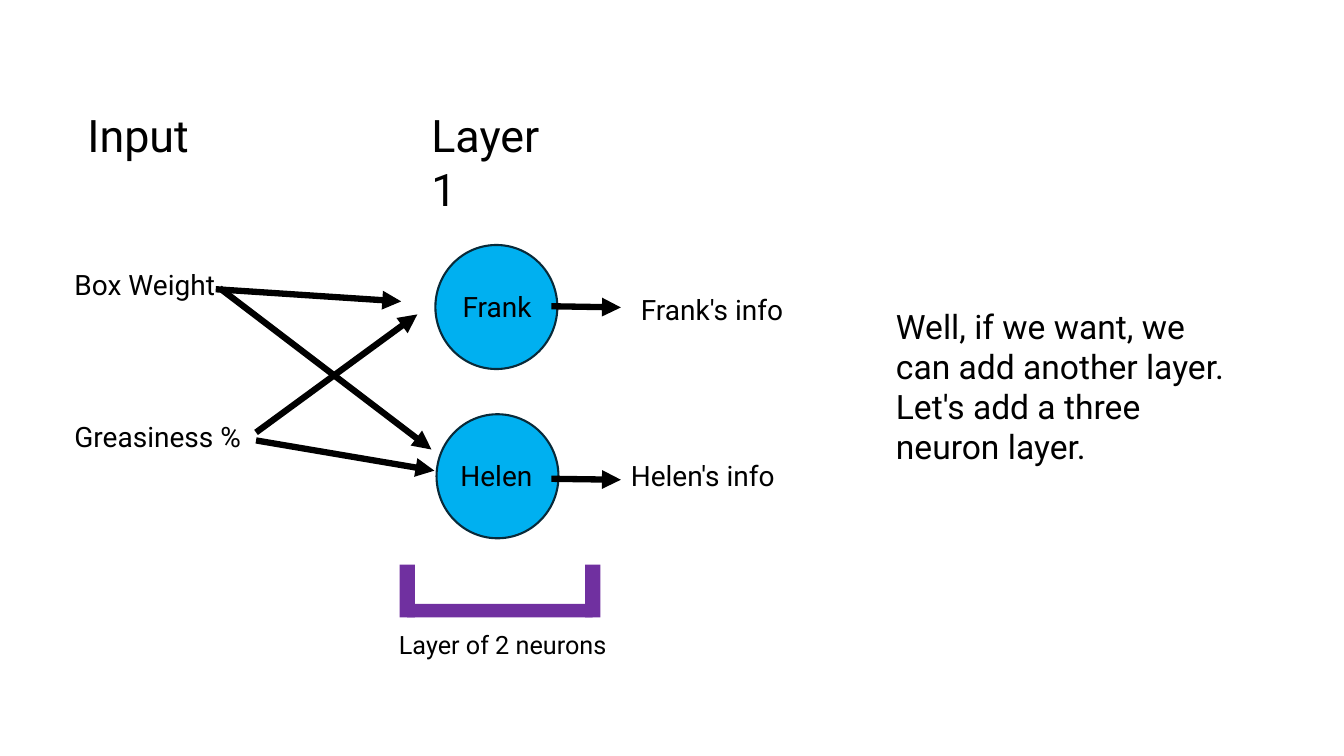
from lxml.etree import SubElement
from pptx import Presentation
from pptx.dml.color import RGBColor as RGB
from pptx.enum.shapes import MSO_CONNECTOR as LINK, MSO_SHAPE as KIND
from pptx.enum.text import MSO_AUTO_SIZE as FIT
from pptx.oxml.ns import qn
from pptx.util import Pt

HUES = {"ink": "000000", "node": "00B0F0", "rim": "092A39", "brace": "7030A0"}


def hue(name):
    return RGB.from_string(HUES[name])


def write(frame, text, size=20, color="ink", face="Roboto"):
    frame.word_wrap = True
    frame.auto_size = FIT.SHAPE_TO_FIT_TEXT
    run = frame.paragraphs[0].add_run()
    run.text = text
    run.font.size = Pt(size)
    run.font.name = face
    run.font.color.rgb = hue(color)


class Board:
    def __init__(self, slide):
        self.slide = slide
        self.stroke = 4.5

    def label(self, text, x, y, w, h=31.5, size=20):
        box = self.slide.shapes.add_textbox(Pt(x), Pt(y), Pt(w), Pt(h))
        write(box.text_frame, text, size=size)
        return box

    def shape(self, home, kind, x, y, w, h, fill, rim=None):
        item = home.shapes.add_shape(kind, Pt(x), Pt(y), Pt(w), Pt(h))
        item.shadow.inherit = False
        item.fill.solid()
        item.fill.fore_color.rgb = hue(fill)
        if rim:
            item.line.color.rgb = hue(rim)
            item.line.width = Pt(1.5)
        else:
            item.line.fill.background()
        return item

    def node(self, x, y):
        return self.shape(self.slide, KIND.OVAL, x, y, 87.1, 88.6, "node", "rim")

    def brace(self, x, y, w, h, thick):
        group = self.slide.shapes.add_group_shape()
        base = (x + thick / 2, y + h - 9.7, w - thick, 9.7)
        posts = [(left, y, thick, h) for left in (x, x + w - thick)]
        for part in (base, *posts):
            self.shape(group, KIND.RECTANGLE, *part, "brace")

    def arrow(self, x, y, to_x, to_y):
        link = self.slide.shapes.add_connector(
            LINK.STRAIGHT, Pt(x), Pt(y), Pt(to_x), Pt(to_y))
        link.line.color.rgb = hue("ink")
        link.line.width = Pt(self.stroke)
        SubElement(link.line._get_or_add_ln(), qn("a:tailEnd"), type="triangle")
        SubElement(link._element.spPr, qn("a:effectLst"))
        return link


def main():
    deck = Presentation()
    deck.slide_width, deck.slide_height = Pt(960), Pt(540)
    board = Board(deck.slides.add_slide(deck.slide_layouts[6]))

    board.node(311.8, 295.9)
    board.node(311, 175)
    board.label("Layer of 2 neurons", 277.9, 445.7, 182.2, 29, size=18)
    board.brace(285.5, 403.4, 143.3, 37.6, 10.8)

    board.label("Input", 55.4, 73.4, 96.5, 46, size=32)
    board.label("Layer 1", 301, 73.4, 115.2, 46, size=32)
    for text, y in (("Box Weight", 187.2), ("Greasiness %", 295.9)):
        board.label(text, 46.1, y, 146.2)
    frank = board.label("Frank", 323.3, 203, 70.6)
    board.label("Helen", 321.8, 324, 70.6)
    board.label("Frank's info", 450.7, 205.2, 126.7)
    board.label("Helen's info", 443.5, 324, 126.7)
    board.label("Well, if we want, we can add another layer. "
                "Let's add a three neuron layer.", 632.9, 214.6, 254.9, 123.8, size=24)

    for ends in ((154.1, 206.6, 286.6, 215.3), (182.9, 308.9, 298.1, 224.6),
                 (157, 205.9, 308.2, 321.1), (182.9, 314.6, 310.3, 336.2),
                 (393.8, 342, 443.5, 342.7)):
        board.arrow(*ends)
    board.arrow(393.8, 218.9, 443.5, 219.6).begin_connect(frank, 3)

    deck.save("out.pptx")


if __name__ == "__main__":
    main()
